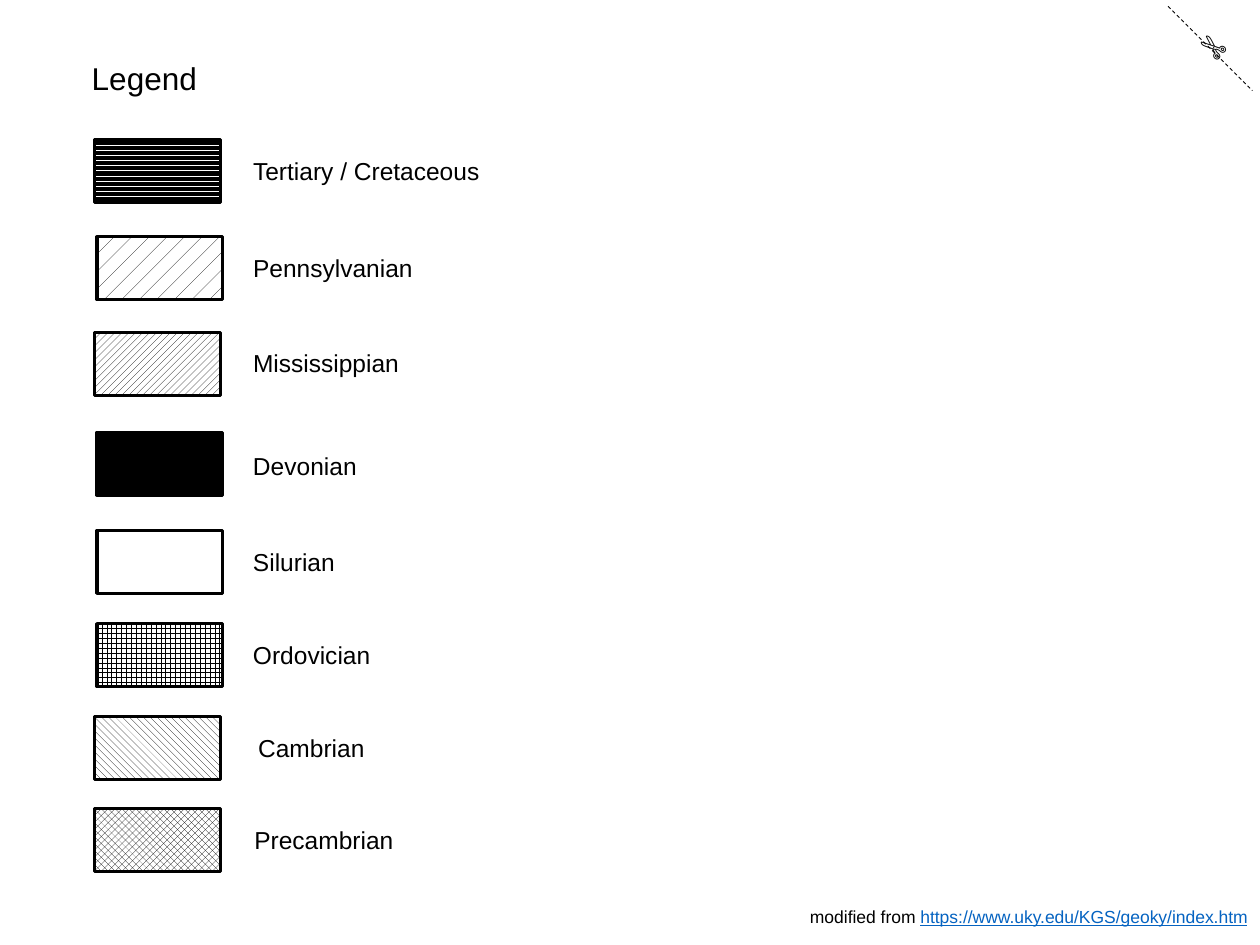
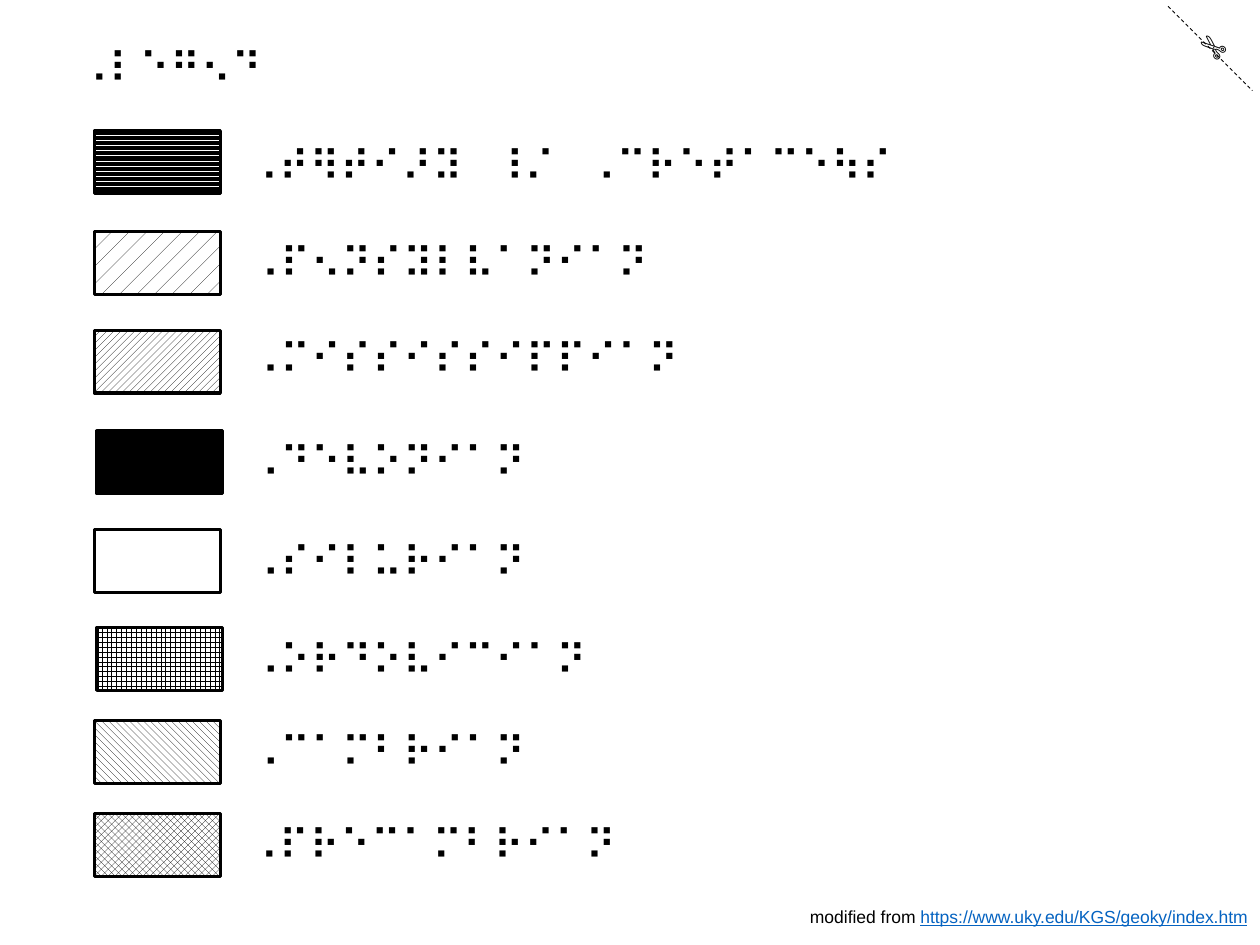
from dataclasses import dataclass

import lxml.etree
import pptx
import pptx.dml.color
import pptx.enum.dml
import pptx.enum.shapes
import pptx.enum.text
import pptx.oxml.ns
import pptx.util

Inches = pptx.util.Inches
Pattern = pptx.enum.dml.MSO_PATTERN


@dataclass(frozen=True)
class Theme:
    ink: str = "000000"
    paper: str = "FFFFFF"
    link: str = "0563C1"
    print_font: str = "Arial"
    braille_font: str = "Roboto"
    title_size: int = 18
    label_size: int = 14
    braille_size: int = 24
    source_size: int = 10
    swatch_line: float = 1.75
    cut_line: float = 0.5


theme = Theme()


def rgb(value):
    return pptx.dml.color.RGBColor.from_string(value)


def add_text(slide, text, box, font, size, wrap=False):
    """Add a one-paragraph text box and return it."""
    label = slide.shapes.add_textbox(*map(Inches, box))
    frame = label.text_frame
    frame.text = text
    frame.word_wrap = wrap
    frame.auto_size = pptx.enum.text.MSO_AUTO_SIZE.SHAPE_TO_FIT_TEXT
    run = frame.paragraphs[0].runs[0]
    run.font.name = font
    run.font.size = pptx.util.Pt(size)
    run.font.color.rgb = rgb(theme.ink)
    return label


# Rock ages from youngest to oldest: a pattern, or a plain colour
age_fills = [
    Pattern.DARK_HORIZONTAL,
    Pattern.PERCENT_5,
    Pattern.WIDE_UPWARD_DIAGONAL,
    theme.ink,
    theme.paper,
    Pattern.LARGE_GRID,
    Pattern.WIDE_DOWNWARD_DIAGONAL,
    Pattern.SOLID_DIAMOND,
]

# Each age: name, swatch left and top, label left, top and width
legends = [
    {
        "title": ("Legend", (0.63, 0.42, 1.04, 0.4)),
        "font": theme.print_font,
        "title_size": theme.title_size,
        "label_size": theme.label_size,
        "label_height": 0.34,
        "ages": [
            ("Tertiary / Cretaceous", 0.75, 1.11, 1.91, 1.19, 2.01),
            ("Pennsylvanian", 0.77, 1.88, 1.91, 1.96, 1.48),
            ("Mississippian", 0.75, 2.64, 1.91, 2.71, 1.55),
            ("Devonian", 0.77, 3.43, 1.91, 3.53, 1.03),
            ("Silurian", 0.77, 4.21, 1.91, 4.29, 0.86),
            ("Ordovician", 0.77, 4.95, 1.91, 5.03, 1.14),
            ("Cambrian", 0.75, 5.69, 1.95, 5.77, 1.05),
            ("Precambrian", 0.75, 6.42, 1.92, 6.5, 1.31),
        ],
    },
    {
        "title": ("⠠⠇⠑⠛⠢⠙", (0.52, 0.28, 1.73, 0.5)),
        "font": theme.braille_font,
        "title_size": theme.braille_size,
        "label_size": theme.braille_size,
        "label_height": 0.5,
        "ages": [
            ("⠠⠞⠻⠞⠊⠜⠽⠀⠸⠌⠀⠠⠉⠗⠑⠞⠁⠉⠑⠳⠎", 0.75, 1.04, 1.87, 1.06, 6.43),
            ("⠠⠏⠢⠝⠎⠽⠇⠧⠁⠝⠊⠁⠝", 0.75, 1.84, 1.88, 1.83, 3.37),
            ("⠠⠍⠊⠎⠎⠊⠎⠎⠊⠏⠏⠊⠁⠝", 0.75, 2.62, 1.88, 2.59, 3.76),
            ("⠠⠙⠑⠧⠕⠝⠊⠁⠝", 0.77, 3.42, 1.88, 3.41, 2.49),
            ("⠠⠎⠊⠇⠥⠗⠊⠁⠝", 0.75, 4.2, 1.88, 4.2, 2.49),
            ("⠠⠕⠗⠙⠕⠧⠊⠉⠊⠁⠝", 0.77, 4.98, 1.88, 4.98, 2.88),
            ("⠠⠉⠁⠍⠃⠗⠊⠁⠝", 0.75, 5.72, 1.88, 5.71, 2.49),
            ("⠠⠏⠗⠑⠉⠁⠍⠃⠗⠊⠁⠝", 0.75, 6.46, 1.87, 6.45, 3.13),
        ],
    },
]

deck = pptx.Presentation()
deck.slide_width = Inches(10)
deck.slide_height = Inches(7.5)

for legend in legends:
    slide = deck.slides.add_slide(deck.slide_layouts[6])

    # Corner to cut off, with scissors
    cut = slide.shapes.add_connector(
        pptx.enum.shapes.MSO_CONNECTOR.STRAIGHT,
        *map(Inches, (9.27, 0.05, 9.94, 0.72)))
    cut.line.color.rgb = rgb(theme.ink)
    cut.line.width = pptx.util.Pt(theme.cut_line)
    cut.line.dash_style = pptx.enum.dml.MSO_LINE.DASH
    lxml.etree.SubElement(cut._element.spPr, pptx.oxml.ns.qn("a:effectLst"))
    scissors = add_text(slide, "✄", (9.41, 0.18, 0.42, 0.4),
                        theme.print_font, theme.title_size, wrap=True)
    scissors.rotation = 220.5

    # Source line
    source = add_text(slide, "modified from ", (6.33, 7.14, 3.81, 0.27),
                      theme.print_font, theme.source_size, wrap=True)
    address = source.text_frame.paragraphs[0].add_run()
    address.text = "https://www.uky.edu/KGS/geoky/index.htm"
    address.font.name = theme.print_font
    address.font.size = pptx.util.Pt(theme.source_size)
    address.font.color.rgb = rgb(theme.link)
    address.font.underline = True

    # Title
    title, title_box = legend["title"]
    add_text(slide, title, title_box, legend["font"], legend["title_size"])

    # Swatches and their labels
    for fill, age in zip(age_fills, legend["ages"]):
        name, swatch_left, swatch_top, label_left, label_top, label_width = age
        swatch = slide.shapes.add_shape(
            pptx.enum.shapes.MSO_SHAPE.RECTANGLE,
            *map(Inches, (swatch_left, swatch_top, 1, 0.5)))
        swatch.shadow.inherit = False
        swatch.line.color.rgb = rgb(theme.ink)
        swatch.line.width = pptx.util.Pt(theme.swatch_line)
        if isinstance(fill, str):
            swatch.fill.solid()
            swatch.fill.fore_color.rgb = rgb(fill)
        else:
            swatch.fill.patterned()
            swatch.fill.pattern = fill
            swatch.fill.fore_color.rgb = rgb(theme.ink)
            swatch.fill.back_color.rgb = rgb(theme.paper)
        label_box = (label_left, label_top, label_width, legend["label_height"])
        add_text(slide, name, label_box, legend["font"], legend["label_size"])

deck.save("out.pptx")
